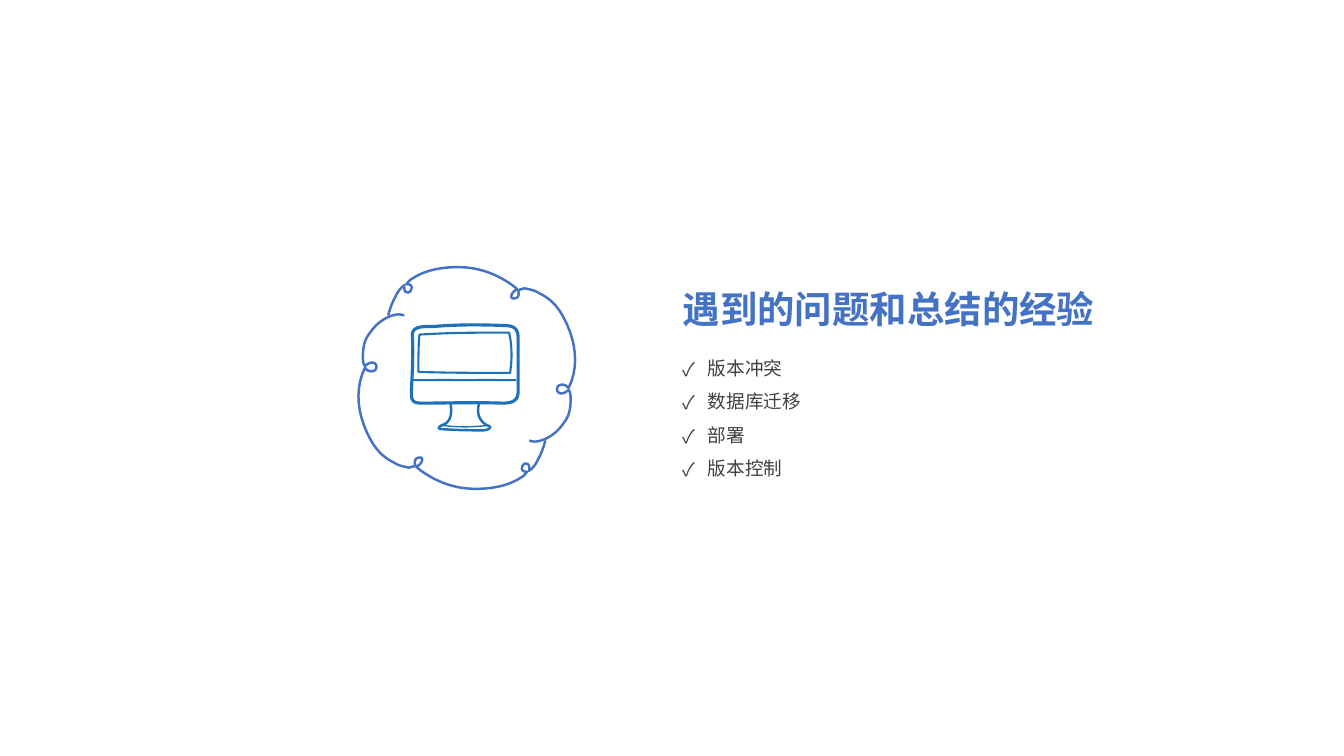
from lxml import etree
from pptx import Presentation
from pptx.dml.color import RGBColor
from pptx.enum.text import MSO_ANCHOR, MSO_AUTO_SIZE, PP_ALIGN
from pptx.oxml.ns import qn
from pptx.util import Inches, Pt

TOP, LEFT = MSO_ANCHOR.TOP, PP_ALIGN.LEFT
GROW = MSO_AUTO_SIZE.SHAPE_TO_FIT_TEXT

TITLE = "遇到的问题和总结的经验"
LESSONS = ["版本冲突", "数据库迁移", "部署", "版本控制"]
FONT = "Noto Sans CJK SC"
BLUE, ICON_BLUE, GREY = "4472C4", "1D71B7", "404040"

# Each curve: a start point, then two handles and an end point per segment
CLOUD = [
    (5.41, 4.37),
    (5.39, 4.44), (5.37, 4.5), (5.34, 4.55),
    (5.32, 4.6), (5.29, 4.64), (5.25, 4.67),
    (5.25, 4.63), (5.25, 4.6), (5.22, 4.6),
    (5.19, 4.59), (5.17, 4.64), (5.18, 4.66),
    (5.19, 4.68), (5.21, 4.68), (5.23, 4.68),
    (5.21, 4.7), (5.2, 4.72), (5.18, 4.73),
    (5.05, 4.82), (4.88, 4.85), (4.72, 4.85),
    (4.56, 4.85), (4.41, 4.81), (4.27, 4.73),
    (4.22, 4.7), (4.17, 4.67), (4.13, 4.63),
    (4.15, 4.62), (4.16, 4.61), (4.17, 4.6),
    (4.19, 4.58), (4.2, 4.53), (4.16, 4.54),
    (4.11, 4.54), (4.11, 4.59), (4.12, 4.62),
    (4.1, 4.63), (4.08, 4.63), (4.06, 4.64),
    (4.01, 4.63), (3.95, 4.62), (3.91, 4.59),
    (3.8, 4.54), (3.72, 4.45), (3.67, 4.35),
    (3.55, 4.13), (3.51, 3.87), (3.62, 3.65),
    (3.63, 3.66), (3.65, 3.68), (3.66, 3.68),
    (3.69, 3.69), (3.72, 3.68), (3.73, 3.66),
    (3.74, 3.63), (3.73, 3.61), (3.71, 3.6),
    (3.67, 3.59), (3.65, 3.61), (3.62, 3.63),
    (3.6, 3.61), (3.6, 3.57), (3.6, 3.54),
    (3.6, 3.46), (3.61, 3.39), (3.65, 3.33),
    (3.69, 3.27), (3.73, 3.22), (3.79, 3.18),
    (3.85, 3.14), (3.94, 3.1), (4.01, 3.13),
]
FRAME = [
    (4.09, 3.32),
    (4.09, 3.23), (4.22, 3.24), (4.29, 3.24),
    (4.53, 3.22), (4.77, 3.22), (5, 3.23),
    (5.1, 3.23), (5.14, 3.26), (5.14, 3.36),
    (5.14, 3.54), (5.14, 3.72), (5.14, 3.88),
    (5.14, 3.98), (5.08, 4), (4.98, 4),
    (4.7, 3.99), (4.4, 4), (4.19, 4),
    (4.1, 4), (4.08, 3.98), (4.08, 3.9),
    (4.09, 3.7), (4.1, 3.5), (4.09, 3.32),
]
SCREEN = [
    (4.15, 3.69),
    (4.15, 3.57), (4.15, 3.45), (4.16, 3.32),
    (4.45, 3.3), (4.75, 3.3), (5.05, 3.3),
    (5.08, 3.43), (5.08, 3.56), (5.06, 3.7),
    (4.75, 3.7), (4.45, 3.7), (4.15, 3.69),
]
DIVIDER = [(4.09, 3.77), (4.44, 3.77), (4.78, 3.77), (5.12, 3.77)]
STAND = [
    (4.47, 4.01),
    (4.48, 4.1), (4.48, 4.19), (4.38, 4.22),
    (4.33, 4.25), (4.35, 4.26), (4.42, 4.26),
    (4.56, 4.27), (4.72, 4.27), (4.8, 4.27),
    (4.87, 4.26), (4.88, 4.23), (4.83, 4.22),
    (4.74, 4.17), (4.73, 4.08), (4.75, 4.01),
]
BASE = [(4.38, 4.22), (4.53, 4.24), (4.69, 4.24), (4.84, 4.22)]

# The upper half of the cloud is the lower half turned by 180 degrees
CLOUD_TURNED = [(9.26 - x, 7.5 - y) for x, y in CLOUD]
STROKES = [
    (CLOUD, BLUE, 1.75), (CLOUD_TURNED, BLUE, 1.75),
    (FRAME, ICON_BLUE, 2.25), (SCREEN, ICON_BLUE, 1.5),
    (DIVIDER, ICON_BLUE, 1.5), (STAND, ICON_BLUE, 1.75), (BASE, ICON_BLUE, 1),
]
STEPS = 10


def color(value):
    return RGBColor.from_string(value)


def sample(curve):
    """Points along a chain of cubic curves."""
    points = [curve[0]]
    for i in range(0, len(curve) - 1, 3):
        for step in range(1, STEPS + 1):
            t = step / STEPS
            weights = ((1 - t) ** 3, 3 * t * (1 - t) ** 2, 3 * t * t * (1 - t), t ** 3)
            points.append(tuple(
                sum(w * point[axis] for w, point in zip(weights, curve[i:i + 4]))
                for axis in (0, 1)))
    return points


def draw_stroke(page, curve, hue, width):
    points = [(Inches(x), Inches(y)) for x, y in sample(curve)]
    builder = page.shapes.build_freeform(*points[0])
    builder.add_line_segments(points[1:], close=curve[0] == curve[-1])
    stroke = builder.convert_to_shape()
    stroke.shadow.inherit = False
    stroke.fill.background()
    stroke.line.color.rgb = color(hue)
    stroke.line.width = Pt(width)


def place(box, left, top, width, height, wrap):
    box.left, box.top = Inches(left), Inches(top)
    box.width, box.height = Inches(width), Inches(height)
    frame = box.text_frame
    frame.word_wrap = wrap
    frame.auto_size = GROW
    frame.vertical_anchor = TOP
    return frame


def style(para, size, hue, bold, spacing):
    para.alignment = LEFT
    para.line_spacing = spacing
    para.space_before = para.space_after = Pt(0)
    para.font.size = Pt(size)
    para.font.bold = bold
    para.font.color.rgb = color(hue)
    para.font.name = FONT
    defaults = para._p.pPr.find(qn("a:defRPr"))
    etree.SubElement(defaults, qn("a:ea"), typeface=FONT)


def add_check(para):
    props = para._p.get_or_add_pPr()
    props.set("marL", str(Inches(0.25)))
    props.set("indent", str(Inches(-0.25)))
    etree.SubElement(props, qn("a:buFont"), typeface=FONT)
    etree.SubElement(props, qn("a:buChar"), char="✓")


def main():
    deck = Presentation()
    deck.slide_width, deck.slide_height = Inches(13.33), Inches(7.5)
    page = deck.slides.add_slide(deck.slide_layouts[1])

    # Title
    title = place(page.shapes.title, 6.67, 2.79, 4.51, 0.55, True)
    title.text = TITLE
    style(title.paragraphs[0], 26.7, BLUE, True, 1.0)

    # Checklist
    checklist = place(page.placeholders[1], 6.67, 3.38, 1.39, 1.41, False)
    checklist.text = "\n".join(LESSONS)
    for para in checklist.paragraphs:
        add_check(para)
        style(para, 13.3, GREY, False, 1.5)

    # Cloud and monitor
    for curve, hue, width in STROKES:
        draw_stroke(page, curve, hue, width)

    deck.save("out.pptx")


if __name__ == "__main__":
    main()
